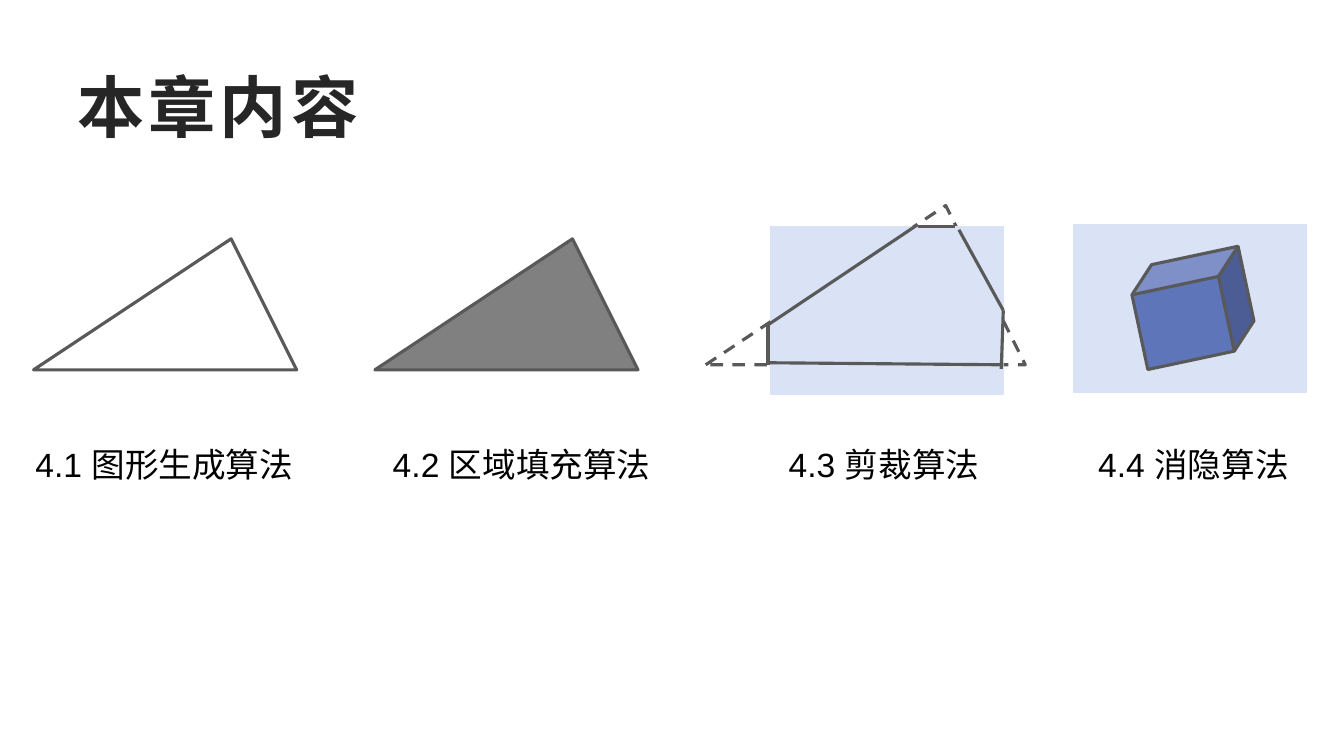
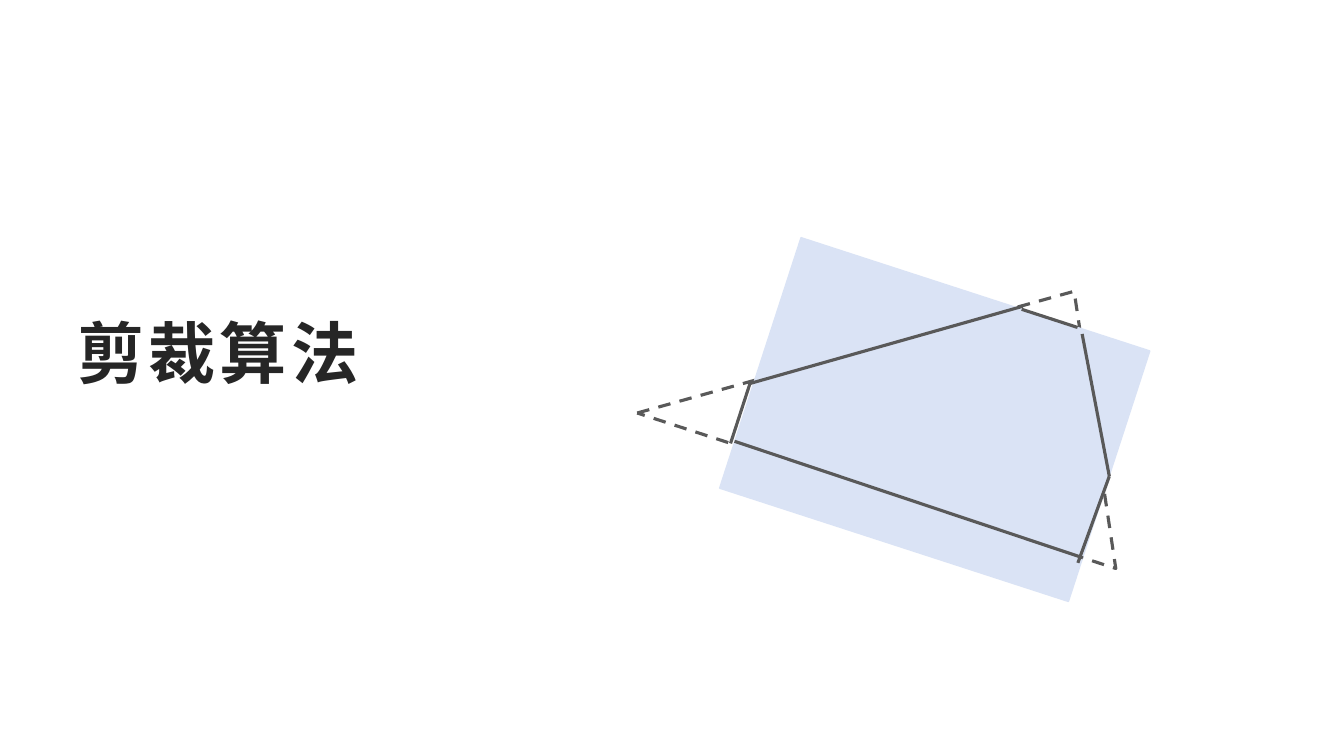
"""Build a chapter overview and a section slide on clipping algorithms."""
import math

import lxml.etree
import pptx
import pptx.dml.color
import pptx.enum.dml
import pptx.enum.shapes
import pptx.enum.text
import pptx.oxml.ns
import pptx.util

KIND = pptx.enum.shapes.MSO_SHAPE
ALIGN = pptx.enum.text.PP_ALIGN
ANCHOR = pptx.enum.text.MSO_ANCHOR
DASH = pptx.enum.dml.MSO_LINE.DASH
STROKE, PANE, GREY, BLUE = "595959", "DAE3F5", "808080", "5E75BA"
PEAK = 0.751

deck = pptx.Presentation()
deck.slide_width = pptx.util.Inches(13.33)
deck.slide_height = pptx.util.Inches(7.5)
cell = deck.slide_width / 40


def paint(shape, line, fill=None, width=2.25, dash=None):
    """Set outline and fill from hex strings and drop the shadow."""
    shape.line.color.rgb = pptx.dml.color.RGBColor.from_string(line)
    shape.line.width = pptx.util.Pt(width)
    if dash:
        shape.line.dash_style = dash
    if hasattr(shape, "fill"):
        shape.shadow.inherit = False
        if fill:
            shape.fill.solid()
            shape.fill.fore_color.rgb = pptx.dml.color.RGBColor.from_string(fill)
        else:
            shape.fill.background()
    else:
        lxml.etree.SubElement(shape.element.spPr, pptx.oxml.ns.qn("a:effectLst"))


def grid(*cells):
    """Turn counts of grid cells into lengths."""
    return [round(n * cell) for n in cells]


first, second = [deck.slides.add_slide(deck.slide_layouts[6]) for _ in range(2)]

title = {
    "font": {"size": pptx.util.Pt(48), "name": "Calibri", "bold": True},
    "ink": "262626", "space": "300", "align": ALIGN.LEFT, "anchor": ANCHOR.MIDDLE,
}
label = {
    "font": {"size": pptx.util.Pt(24), "name": "Arial", "bold": False},
    "ink": "000000", "space": "0", "align": ALIGN.CENTER, "anchor": ANCHOR.TOP,
}
texts = [
    (first, "本章内容", title, (2, 2, 36, 2.3)),
    (first, "4.1 图形生成算法", label, (0.51, 13.08, 8.76, 1.5)),
    (first, "4.2 区域填充算法", label, (10.68, 13.08, 9.69, 1.5)),
    (first, "4.3 剪裁算法", label, (22.44, 13.08, 7.74, 1.5)),
    (first, "4.4 消隐算法", label, (31.65, 13.08, 7.74, 1.5)),
    (second, "剪裁算法", title, (2, 9.33, 16.53, 2.3)),
]
for slide, words, style, place in texts:
    frame = slide.shapes.add_textbox(*grid(*place)).text_frame
    frame.word_wrap = True
    frame.vertical_anchor = style["anchor"]
    para = frame.paragraphs[0]
    para.alignment = style["align"]
    run = para.add_run()
    run.text = words
    for key, value in style["font"].items():
        setattr(run.font, key, value)
    run.font.color.rgb = pptx.dml.color.RGBColor.from_string(style["ink"])
    run._r.get_or_add_rPr().set("spc", style["space"])

for left, fill in [(1, None), (11.16, GREY)]:
    shape = first.shapes.add_shape(KIND.ISOSCELES_TRIANGLE, *grid(left, 7.11, 7.83, 3.9))
    shape.adjustments[0] = PEAK
    paint(shape, STROKE, fill)

pane = first.shapes.add_shape(KIND.RECTANGLE, *grid(31.95, 6.69, 6.93, 4.98))
paint(pane, PANE, PANE, 1)
cube = first.shapes.add_shape(KIND.CUBE, *grid(33.81, 7.65, 3.39, 3.03))
cube.rotation = 348
paint(cube, STROKE, BLUE)

parts = [
    (KIND.ISOSCELES_TRIANGLE, (0, 0), (9.51, 4.74), {"line": STROKE, "dash": DASH}),
    (KIND.RECTANGLE, (0.63, 0.75), (6.93, 4.98), {"line": PANE, "fill": PANE, "width": 1}),
]
edges = [
    ((2.78, -1.65), (4.1, 0.75)),
    ((-2.84, 2.31), (4.1, 2.37)),
    ((-2.93, 1.2), (1.55, -1.8)),
    ((1.55, -1.74), (2.66, -1.74)),
    ((-2.9, 1.14), (-2.9, 2.37)),
    ((4.1, 0.75), (4.04, 2.49)),
]
for slide, mid, scale, turn in [
    (first, (25.76, 8.49), 1, 0),
    (second, (27.24, 11.06), 1.575, 18),
]:
    group = slide.shapes.add_group_shape().shapes
    cos = scale * math.cos(math.radians(turn))
    sin = scale * math.sin(math.radians(turn))
    for kind, (x, y), (wide, high), look in parts:
        left = mid[0] + x * cos - y * sin - wide * scale / 2
        top = mid[1] + x * sin + y * cos - high * scale / 2
        shape = group.add_shape(kind, *grid(left, top, wide * scale, high * scale))
        shape.rotation = turn
        if kind == KIND.ISOSCELES_TRIANGLE:
            shape.adjustments[0] = PEAK
        paint(shape, **look)
    for edge in edges:
        ends = []
        for x, y in edge:
            ends += [mid[0] + x * cos - y * sin, mid[1] + x * sin + y * cos]
        line = group.add_connector(pptx.enum.shapes.MSO_CONNECTOR.STRAIGHT, *grid(*ends))
        paint(line, STROKE)

deck.save("out.pptx")
